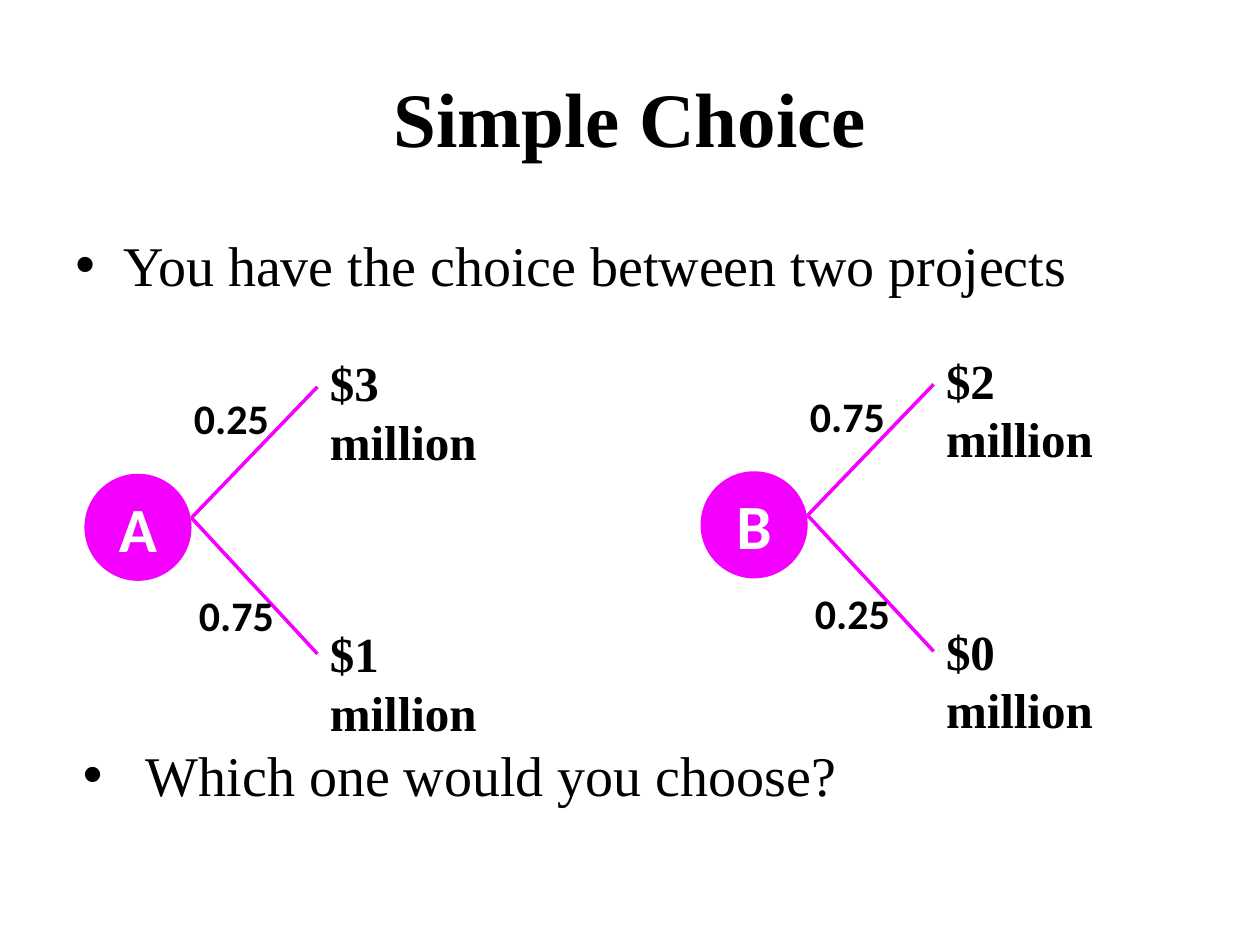
from lxml import etree
from pptx import Presentation
from pptx.dml.color import RGBColor
from pptx.enum import shapes as sh, text as tx
from pptx.oxml import ns
from pptx.util import Inches, Pt

BLACK = RGBColor(0, 0, 0)
WHITE = RGBColor(255, 255, 255)
PINK = RGBColor(0xF4, 0, 0xFF)
SERIF, SANS = "Times New Roman", "Calibri"

TITLE = "Simple Choice"
BULLETS = [
    ("You have the choice between two projects", 1.78, 0.38, 0.38),
    ("Which one would you choose?", 5.83, 0.56, 0.5),
]
TREES = [
    ("A", 0.67, 3.76, [("0.25", "$3 million"), ("0.75", "$1 million")]),
    ("B", 5.56, 3.74, [("0.75", "$2 million"), ("0.25", "$0 million")]),
]
NODE = 0.85
FORK = (0.85, 0.35)
BRANCHES = [
    {"tip": (1.85, -0.69), "odds": (0.77, -0.69), "prize": (1.85, -1.01)},
    {"tip": (1.85, 1.43), "odds": (0.81, 0.87), "prize": (1.85, 1.14)},
]

LOOKS = {
    "title": {"size": Pt(44), "name": SERIF, "bold": True},
    "bullet": {"size": Pt(32), "name": SERIF, "bold": False},
    "node": {"size": Pt(36), "name": SANS, "bold": True},
    "prize": {"size": Pt(28), "name": SERIF, "bold": True},
    "odds": {"size": Pt(24), "name": SANS, "bold": True},
}


def write(shape, words, look, color=BLACK, align=tx.PP_ALIGN.LEFT):
    para = shape.text_frame.paragraphs[0]
    para.alignment = align
    run = para.add_run()
    run.text = words
    for key, value in LOOKS[look].items():
        setattr(run.font, key, value)
    run.font.color.rgb = color
    return para


def add_text(slide, words, look, left, top, width, height, wrap=True):
    box = slide.shapes.add_textbox(*map(Inches, (left, top, width, height)))
    box.text_frame.word_wrap = wrap
    return write(box, words, look)


def add_mark(para, left, hang):
    props = para._p.get_or_add_pPr()
    props.set("marL", str(Inches(left)))
    props.set("indent", str(-Inches(hang)))
    etree.SubElement(props, ns.qn("a:buFont")).set("typeface", "Arial")
    etree.SubElement(props, ns.qn("a:buChar")).set("char", "•")


def add_line(slide, start, end):
    line = slide.shapes.add_connector(
        sh.MSO_CONNECTOR.STRAIGHT, *map(Inches, start + end))
    line.line.color.rgb = PINK
    line.line.width = Pt(2)
    etree.SubElement(line._element.spPr, ns.qn("a:effectLst"))


def add_tree(slide, name, left, top, pairs):
    def place(shift):
        return left + shift[0], top + shift[1]

    node = slide.shapes.add_shape(
        sh.MSO_SHAPE.OVAL, *map(Inches, (left, top, NODE, NODE)))
    node.shadow.inherit = False
    node.fill.solid()
    node.fill.fore_color.rgb = PINK
    node.line.fill.background()
    node.text_frame.vertical_anchor = tx.MSO_ANCHOR.MIDDLE
    write(node, name, "node", WHITE, tx.PP_ALIGN.CENTER)
    for (odds, prize), branch in zip(pairs, BRANCHES):
        add_line(slide, place(FORK), place(branch["tip"]))
        add_text(slide, prize, "prize", *place(branch["prize"]), 1.82, 0.57)
        add_text(slide, odds, "odds", *place(branch["odds"]), 0.8, 0.5, False)


def main():
    deck = Presentation()
    deck.slide_width, deck.slide_height = Inches(10), Inches(7.5)
    slide = deck.slides.add_slide(deck.slide_layouts[5])
    title = slide.shapes.title
    spot = {"left": 0.5, "top": 0.3, "width": 9, "height": 1.25}
    for key, value in spot.items():
        setattr(title, key, Inches(value))
    title.text_frame.vertical_anchor = tx.MSO_ANCHOR.MIDDLE
    write(title, TITLE, "title", align=tx.PP_ALIGN.CENTER)
    for words, top, left, hang in BULLETS:
        add_mark(add_text(slide, words, "bullet", 0.5, top, 9, 0.6), left, hang)
    for tree in TREES:
        add_tree(slide, *tree)
    deck.save("out.pptx")


if __name__ == "__main__":
    main()
